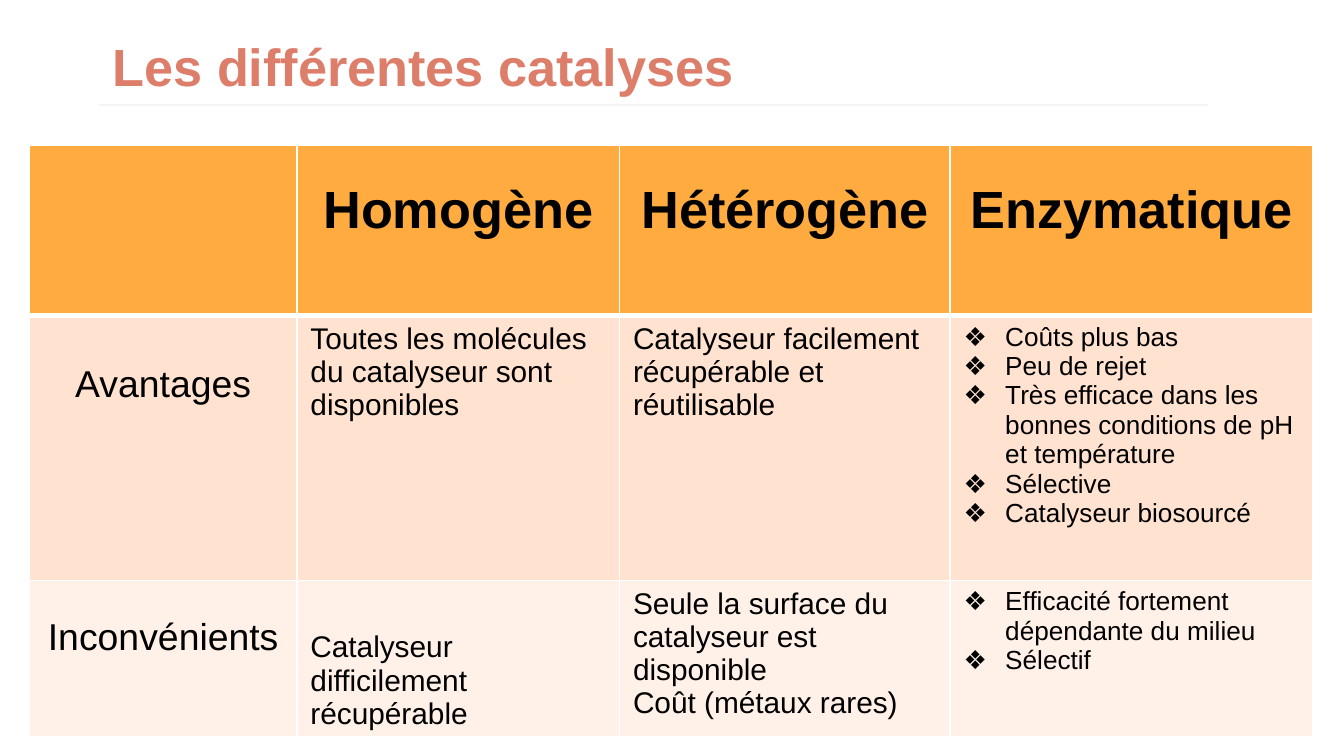
from lxml import etree
from pptx import Presentation
from pptx import util as u
from pptx.dml.color import RGBColor
from pptx.enum import shapes, text
from pptx.oxml.ns import qn

HEADER_FILL, PROS_FILL, CONS_FILL = "FFAB40", "FFE2CF", "FFF1E8"
COLUMN_WIDTHS = [1.99, 2.4, 2.46, 2.7]
ROW_HEIGHTS = [1.27, 1.97, 1.03]
TOP, BOTTOM = text.MSO_ANCHOR.TOP, text.MSO_ANCHOR.BOTTOM

HEADING = dict(size=28, bold=True, align=text.PP_ALIGN.CENTER)
LABEL = dict(size=20, align=text.PP_ALIGN.CENTER)
BODY = dict(size=16)
LIST = dict(size=14, bullet="❖")

CATALYSES = ["Homogène", "Hétérogène", "Enzymatique"]
COMPARISON = [
    (HEADER_FILL, [([], HEADING, 0.05, TOP)] + [([name], HEADING, 0.27, TOP) for name in CATALYSES]),
    (PROS_FILL, [
        (["Avantages"], LABEL, 0.36, TOP),
        (["Toutes les molécules du catalyseur sont disponibles"], BODY, 0.05, TOP),
        (["Catalyseur facilement récupérable et réutilisable"], BODY, 0.05, TOP),
        (["Coûts plus bas", "Peu de rejet",
          "Très efficace dans les bonnes conditions de pH et température",
          "Sélective", "Catalyseur biosourcé"], LIST, 0.05, TOP),
    ]),
    (CONS_FILL, [
        (["Inconvénients"], LABEL, 0.27, TOP),
        (["Catalyseur difficilement récupérable"], BODY, 0.05, BOTTOM),
        (["Seule la surface du catalyseur est disponible", "Coût (métaux rares)"], BODY, 0.05, TOP),
        (["Efficacité fortement dépendante du milieu", "Sélectif"], LIST, 0.05, TOP),
    ]),
]


def color(value):
    return RGBColor.from_string(value)


def write(frame, lines, size, bold=False, ink="000000", align=text.PP_ALIGN.LEFT,
          bullet=None, spacing=1.0, font="Arial"):
    for index, line in enumerate(lines):
        paragraph = frame.add_paragraph() if index else frame.paragraphs[0]
        paragraph.alignment = align
        paragraph.line_spacing = spacing
        run = paragraph.add_run()
        run.text = line
        run.font.name = font
        run.font.size = u.Pt(size)
        run.font.bold = bold
        run.font.color.rgb = color(ink)
        if bullet:
            properties = paragraph._p.get_or_add_pPr()
            properties.set("marL", str(u.Inches(0.31)))
            properties.set("indent", str(-u.Inches(0.31)))
            tint = etree.SubElement(properties, qn("a:buClr"))
            etree.SubElement(tint, qn("a:srgbClr"), val=ink)
            etree.SubElement(properties, qn("a:buSzPts"), val=str(size * 100))
            etree.SubElement(properties, qn("a:buFont"), typeface=font)
            etree.SubElement(properties, qn("a:buChar"), char=bullet)


class Deck:
    """Holds the style and the current slide, and adds each kind of element."""

    accent = "DD7E6B"
    rule_color = "F5F5F5"
    border_color = "FFFFFF"

    def __init__(self, presentation):
        self.slide = presentation.slides.add_slide(presentation.slide_layouts[6])

    def title(self, words, left, top, width, height):
        box = self.slide.shapes.add_textbox(*map(u.Inches, (left, top, width, height)))
        frame = box.text_frame
        frame.word_wrap = True
        frame.vertical_anchor = text.MSO_ANCHOR.MIDDLE
        frame.margin_top = u.Inches(0.1)
        frame.margin_bottom = u.Inches(0.15)
        write(frame, [words], size=28, bold=True, ink=self.accent, spacing=0.9)

    def rule(self, left, right, y):
        line = self.slide.shapes.add_connector(
            shapes.MSO_CONNECTOR.STRAIGHT, *map(u.Inches, (left, y, right, y)))
        line.line.color.rgb = color(self.rule_color)
        line.line.width = u.Pt(0.75)
        etree.SubElement(line._element.spPr, qn("a:effectLst"))

    def borders(self, cell, top, bottom):
        properties = cell._tc.get_or_add_tcPr()
        for side, width in (("L", 1), ("R", 1), ("T", top), ("B", bottom)):
            edge = etree.SubElement(properties, qn(f"a:ln{side}"), w=str(u.Pt(width)))
            fill = etree.SubElement(edge, qn("a:solidFill"))
            etree.SubElement(fill, qn("a:srgbClr"), val=self.border_color)

    def table(self, rows, left, top, widths, heights):
        size = map(u.Inches, (left, top, sum(widths), sum(heights)))
        table = self.slide.shapes.add_table(len(heights), len(widths), *size).table
        table.first_row = table.horz_banding = False
        for column, width in zip(table.columns, widths):
            column.width = u.Inches(width)
        for row, height in zip(table.rows, heights):
            row.height = u.Inches(height)
        for r, (fill, entries) in enumerate(rows):
            for c, (lines, style, margin, anchor) in enumerate(entries):
                cell = table.cell(r, c)
                self.borders(cell, top=3 if r == 1 else 1, bottom=3 if r == 0 else 1)
                cell.fill.solid()
                cell.fill.fore_color.rgb = color(fill)
                cell.vertical_anchor = anchor
                cell.margin_left = cell.margin_right = u.Inches(0.1)
                cell.margin_top = u.Inches(margin)
                cell.margin_bottom = u.Inches(0.05)
                write(cell.text_frame, lines, **style)


def main():
    presentation = Presentation()
    presentation.slide_width = u.Inches(10)
    presentation.slide_height = u.Inches(10 * 9 / 16)
    deck = Deck(presentation)
    deck.rule(0.74, 8.99, 0.78)
    deck.title("Les différentes catalyses", 0.74, 0.16, 8.25, 0.76)
    deck.table(COMPARISON, 0.22, 1.08, COLUMN_WIDTHS, ROW_HEIGHTS)
    presentation.save("out.pptx")


if __name__ == "__main__":
    main()
